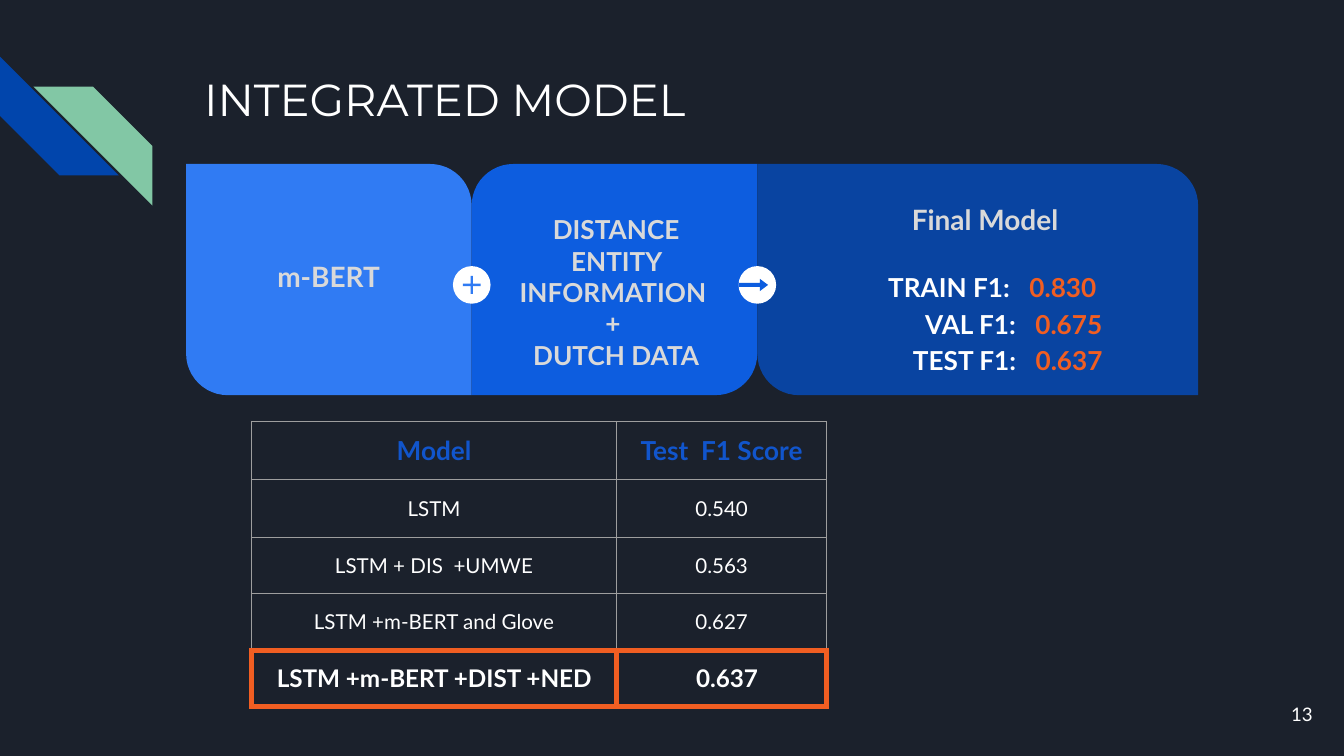
from typing import NamedTuple, Optional

from lxml import etree
from pptx import Presentation
from pptx.dml.color import RGBColor
from pptx.enum.shapes import MSO_SHAPE
from pptx.enum.text import MSO_ANCHOR, PP_ALIGN
from pptx.oxml.ns import qn
from pptx.util import Inches, Pt

STRIPE = MSO_SHAPE.DIAGONAL_STRIPE
PANEL = MSO_SHAPE.ROUND_2_DIAG_RECTANGLE
CIRCLE, ARROW, PLUS = MSO_SHAPE.OVAL, MSO_SHAPE.RIGHT_ARROW, MSO_SHAPE.MATH_PLUS
LEFT, CENTER, RIGHT = PP_ALIGN.LEFT, PP_ALIGN.CENTER, PP_ALIGN.RIGHT
TOP, MIDDLE = MSO_ANCHOR.TOP, MSO_ANCHOR.MIDDLE

COLORS = {
    "background": "1B212C", "white": "FFFFFF", "gray": "D9D9D9",
    "stripe": "0145AC", "mint": "82C7A5",
    "light": "307BF3", "mid": "0D5DDF", "dark": "0944A1",
    "orange": "F15E22", "heading": "1155CC", "rule": "9E9E9E",
}

# A 16:9 slide as a grid of square cells, 100 columns wide
WIDTH = Inches(10)
HEIGHT = WIDTH * 9 // 16
CELL = WIDTH / 100


class Area(NamedTuple):
    col: float
    row: float
    cols: float
    rows: float


class Style(NamedTuple):
    size: float
    color: str
    bold: bool = False
    font: str = "Lato"


class Span(NamedTuple):
    text: str
    style: Style
    spacing: Optional[int] = None  # extra width per letter, in 1/100 pt


class Panel(NamedTuple):
    cols: float
    color: str
    corners: tuple


class Score(NamedTuple):
    label: str
    value: str
    indent: float


def grid(cells: float) -> int:
    return round(cells * CELL)


def emu(area: Area) -> list:
    return [grid(length) for length in area]


def rgb(name: str) -> RGBColor:
    return RGBColor.from_string(COLORS[name])


def add_shape(page, kind, area: Area, color: str, adjust: tuple = ()):
    shape = page.shapes.add_shape(kind, *emu(area))
    shape.shadow.inherit = False
    shape.fill.solid()
    shape.fill.fore_color.rgb = rgb(color)
    shape.line.fill.background()
    for index, value in enumerate(adjust):
        shape.adjustments[index] = value
    return shape


def add_spans(para, spans: list, align=LEFT) -> None:
    para.alignment = align
    for span in spans:
        run = para.add_run()
        run.text = span.text
        run.font.size = Pt(span.style.size)
        run.font.name = span.style.font
        run.font.bold = span.style.bold
        run.font.color.rgb = rgb(span.style.color)
        if span.spacing is not None:
            run.font._element.set("spc", str(span.spacing))


def add_text(page, area: Area, lines: list, align=LEFT, anchor=TOP) -> list:
    frame = page.shapes.add_textbox(*emu(area)).text_frame
    frame.word_wrap = True
    frame.vertical_anchor = anchor
    frame.margin_left = frame.margin_right = grid(1)
    frame.margin_top = frame.margin_bottom = grid(1)
    for index, spans in enumerate(lines):
        para = frame.add_paragraph() if index else frame.paragraphs[0]
        add_spans(para, spans, align)
    return list(frame.paragraphs)


def set_border(cell, side: str, color: str, width: float) -> None:
    line = etree.SubElement(cell._tc.get_or_add_tcPr(), qn(f"a:ln{side}"), w=str(Pt(width)))
    fill = etree.SubElement(line, qn("a:solidFill"))
    etree.SubElement(fill, qn("a:srgbClr"), val=COLORS[color])


deck = Presentation()
deck.slide_width, deck.slide_height = WIDTH, HEIGHT
page = deck.slides.add_slide(deck.slide_layouts[6])
page.background.fill.solid()
page.background.fill.fore_color.rgb = rgb("background")

# Corner stripes
add_shape(page, STRIPE, Area(0, 4.2, 8.85, 8.85), "stripe", (0.5,)).rotation = 270
mint = add_shape(page, STRIPE, Area(2.5, 6.45, 8.85, 8.85), "mint", (0.5,))
mint._element.spPr.find(qn("a:xfrm")).set("flipH", "1")

# Title and page number
add_text(page, Area(14.2, 4.35, 77, 10),
         [[Span("INTEGRATED MODEL", Style(24, "white", font="Montserrat"))]])
add_text(page, Area(92.65, 51, 6, 4.3), [[Span("13", Style(10, "white"))]], RIGHT, MIDDLE)

# Panels side by side; the corners alternate
PANEL_TOP, PANEL_ROWS = 12.2, 17.2
RISING, FALLING = (0, 0.18), (0.18, 0)
seams = [13.85]
for panel in (Panel(21.25, "light", RISING), Panel(21.25, "mid", FALLING),
              Panel(32.8, "dark", RISING)):
    add_shape(page, PANEL, Area(seams[-1], PANEL_TOP, panel.cols, PANEL_ROWS),
              panel.color, panel.corners)
    seams.append(seams[-1] + panel.cols)

# Panel texts
HEAD, DETAIL = Style(15, "gray", True), Style(14, "gray", True)
add_text(page, Area(16.5, 18.3, 15.9, 5), [[Span("m-BERT", HEAD)]], CENTER)
add_text(page, Area(36.8, 14.9, 18.1, 5),
         [[Span(text, DETAIL)] for text in
          ("DISTANCE ENTITY INFORMATION ", "+ ", "DUTCH DATA")], CENTER)
add_text(page, Area(60.1, 14.1, 26.4, 5), [[Span("Final Model", HEAD)]], CENTER)

# Scores of the final model, with a widened space before each value
LABEL, VALUE = Style(14, "white", True), Style(14, "orange", True)
SCORES = [Score("TRAIN F1:", "0.830", 0), Score("VAL F1:", "0.675", 2.75),
          Score("TEST F1:", "0.637", 1.85)]
paras = add_text(page, Area(65.1, 20.8, 26.4, 5.6),
                 [[Span(score.label, LABEL), Span(" ", LABEL, 700),
                   Span(score.value, VALUE)] for score in SCORES])
for index, (para, score) in enumerate(zip(paras, SCORES)):
    para.line_spacing = 0.2
    para.space_before = Pt(16 if index else 0)
    para._p.get_or_add_pPr().set("marL", str(grid(score.indent)))

# Badges centred on the seams
BADGE, BADGE_MIDDLE = 2.8, 21.2
for seam in seams[1:3]:
    add_shape(page, CIRCLE, Area(seam - BADGE / 2, BADGE_MIDDLE - BADGE / 2, BADGE, BADGE),
              "white")
add_shape(page, PLUS, Area(seams[1] - 0.9, BADGE_MIDDLE - 0.9, 1.8, 1.8), "light", (0.1,))
add_shape(page, ARROW, Area(seams[2] - BADGE / 2, BADGE_MIDDLE - 0.45, 2.2, 0.9),
          "mid", (0.32, 0.67))

# Table of results
ROWS = [("Model", "Test  F1 Score"), ("LSTM", "0.540"), ("LSTM + DIS  +UMWE", "0.563"),
        ("LSTM +m-BERT and Glove", "0.627"), ("LSTM +m-BERT +DIST +NED", "0.637")]
COLUMN_COLS, ROW_ROWS = (27.2, 15.6), (4.3, 4.3, 4.2, 4.2, 4.2)
LAST = len(ROWS) - 1
ROW_STYLES = {0: Style(14, "heading", True), LAST: Style(13, "white", True)}
table = page.shapes.add_table(
    len(ROWS), len(COLUMN_COLS),
    *emu(Area(18.7, 31.35, sum(COLUMN_COLS), sum(ROW_ROWS)))).table
table.first_row = table.horz_banding = False
for column, cols in zip(table.columns, COLUMN_COLS):
    column.width = grid(cols)
for row_index, texts in enumerate(ROWS):
    table.rows[row_index].height = grid(ROW_ROWS[row_index])
    for column_index, text in enumerate(texts):
        cell = table.cell(row_index, column_index)
        cell.vertical_anchor = MIDDLE
        cell.margin_left = cell.margin_right = grid(1)
        cell.margin_top = cell.margin_bottom = grid(1)
        add_spans(cell.text_frame.paragraphs[0],
                  [Span(text, ROW_STYLES.get(row_index, Style(11, "white")))], CENTER)
        for side in "LRTB":
            strong = row_index == LAST or (row_index == LAST - 1 and side == "B")
            set_border(cell, side, *(("orange", 3) if strong else ("rule", 0.75)))
        cell.fill.background()
table.cell(LAST, 1).margin_left = grid(1.8)

deck.save("out.pptx")
